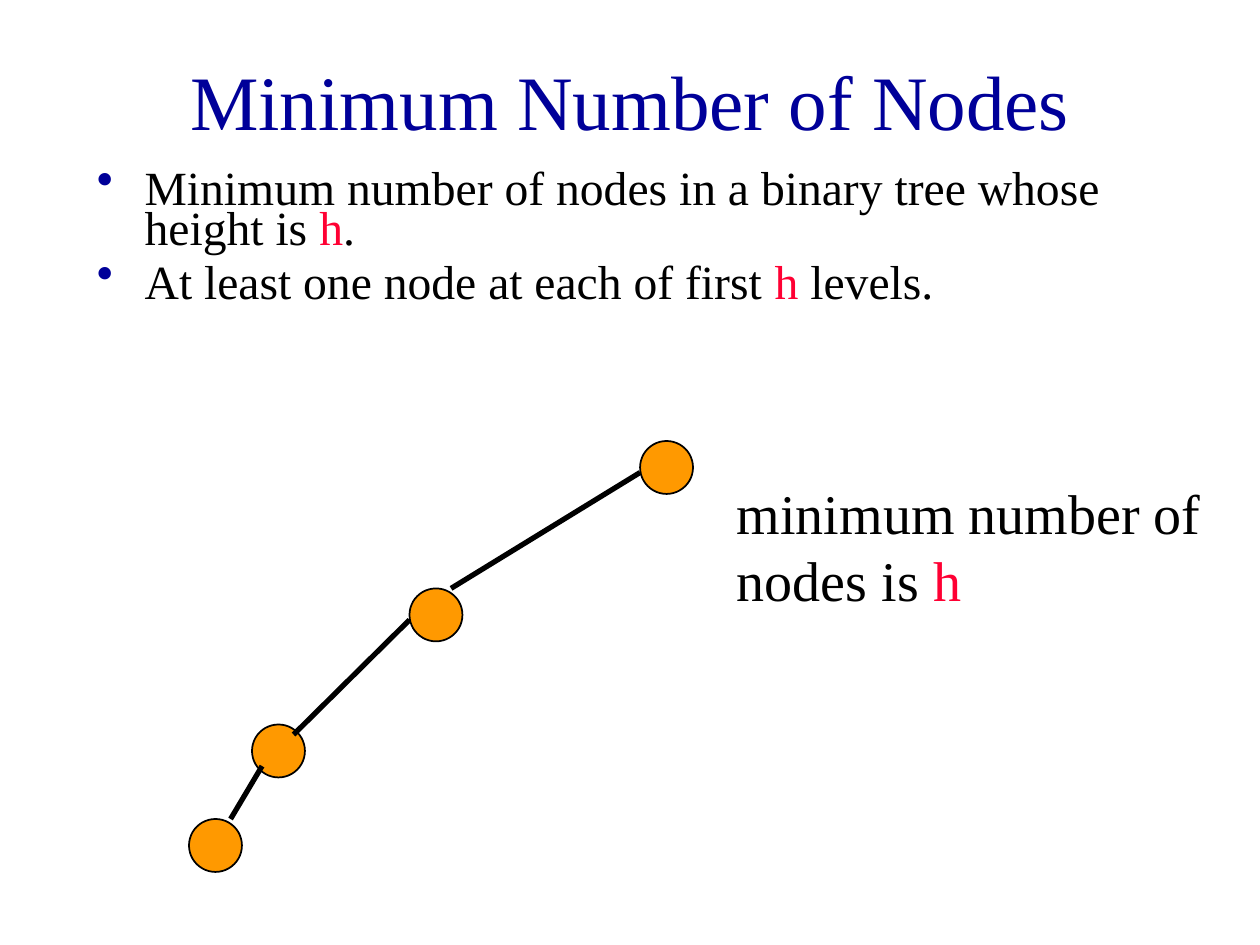
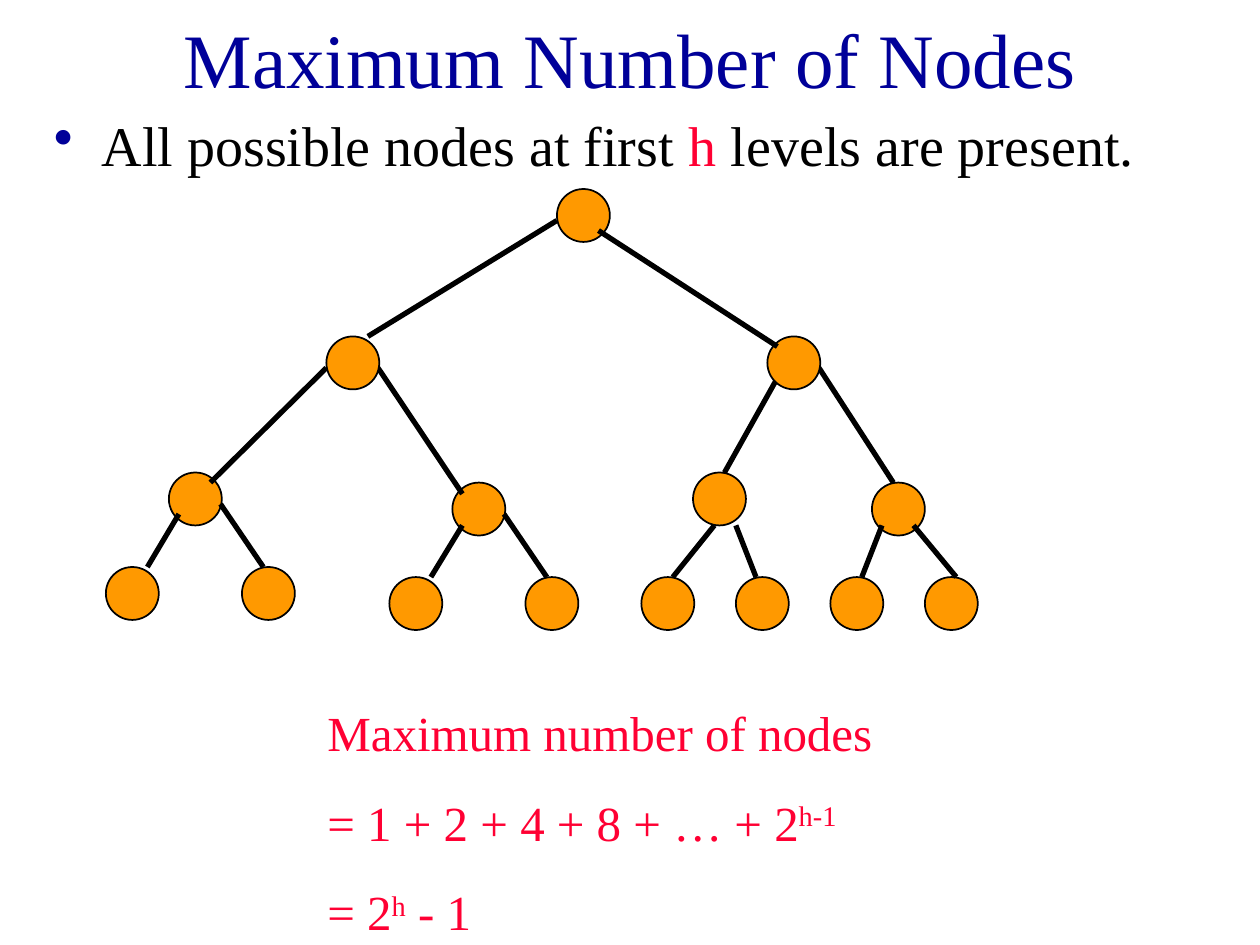
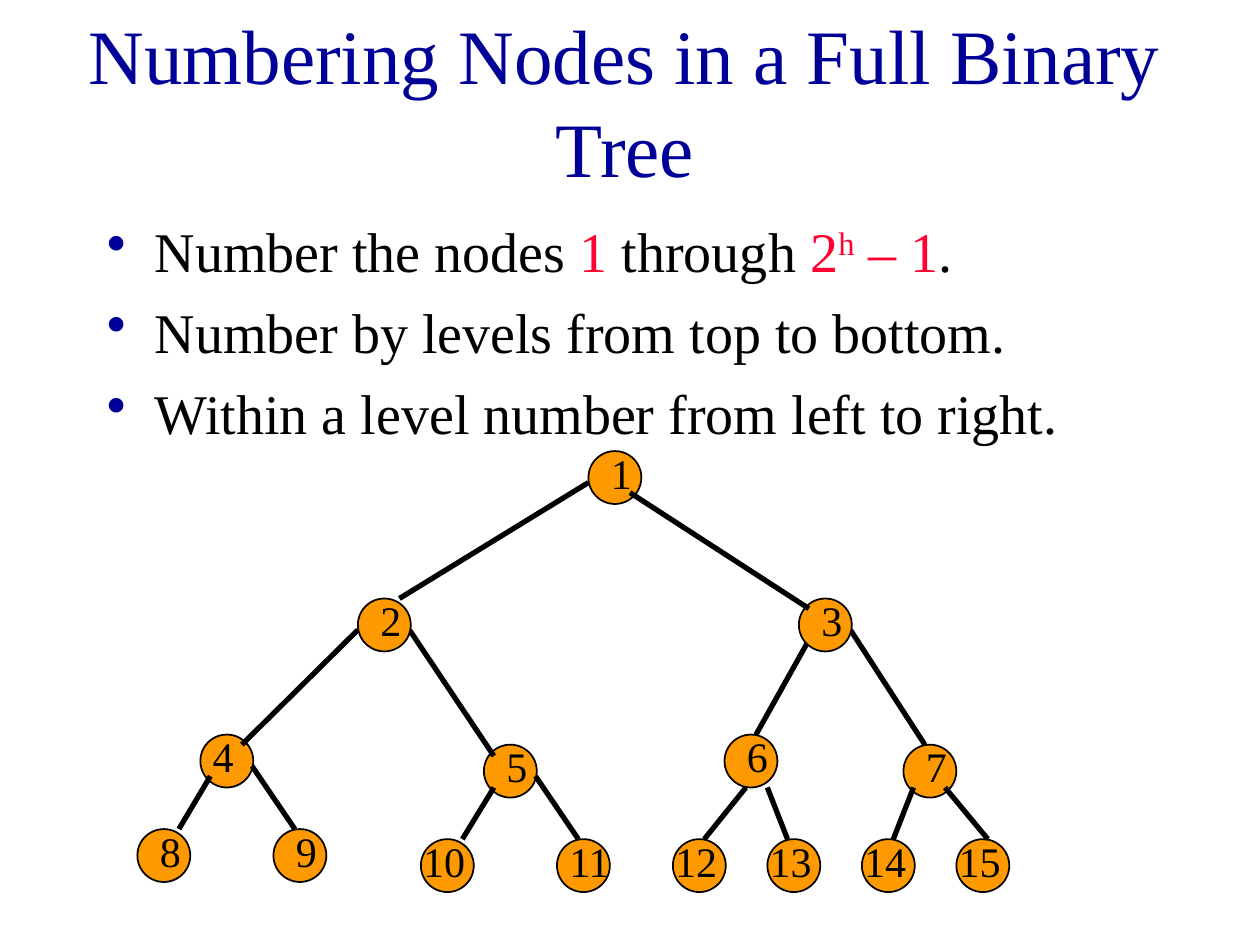
from lxml.etree import SubElement
from pptx import Presentation
from pptx.dml.color import RGBColor
from pptx.enum.shapes import MSO_CONNECTOR as Connector, MSO_SHAPE as Shape
from pptx.enum.text import MSO_ANCHOR as Anchor, MSO_AUTO_SIZE as AutoSize, PP_ALIGN as Align
from pptx.oxml.ns import qn
from pptx.util import Inches, Pt

COLORS = {"navy": "000099", "black": "000000", "red": "FF0033", "orange": "FF9900"}
FONT = "Times New Roman"
TITLE_ONLY = 5
NODE_SIZE = 0.42
RED = {"color": "red"}
RAISED = {"color": "red", "raised": True}

# Offsets in inches from the root's corner, by node number.
NODES = {
    1: (0, 0), 2: (-1.83, 1.17), 3: (1.67, 1.17),
    4: (-3.08, 2.25), 5: (-0.83, 2.33), 6: (1.08, 2.25), 7: (2.5, 2.33),
    8: (-3.58, 3), 9: (-2.5, 3), 10: (-1.33, 3.08), 11: (-0.25, 3.08),
    12: (0.67, 3.08), 13: (1.42, 3.08), 14: (2.17, 3.08), 15: (2.92, 3.08),
}
# Each edge is keyed by the child that it leads to.
EDGES = {
    2: ((0, 0.25), (-1.5, 1.17)), 3: ((0.33, 0.33), (1.75, 1.25)),
    4: ((-1.83, 1.42), (-2.75, 2.33)), 5: ((-1.42, 1.42), (-0.75, 2.42)),
    6: ((1.75, 1.5), (1.33, 2.25)), 7: ((2.08, 1.42), (2.67, 2.33)),
    8: ((-3, 2.58), (-3.25, 3)), 9: ((-2.67, 2.5), (-2.33, 3)),
    10: ((-0.75, 2.67), (-1, 3.08)), 11: ((-0.42, 2.58), (-0.08, 3.08)),
    12: ((1.25, 2.67), (0.92, 3.08)), 13: ((1.42, 2.67), (1.58, 3.08)),
    14: ((2.58, 2.67), (2.42, 3.08)), 15: ((2.83, 2.67), (3.17, 3.08)),
}
DRAWING_ORDER = (range(4, 8), range(1, 4), range(8, 16))
LEFT_CHAIN = (1, 2, 4, 8)


def rgb(name):
    """Return a named colour."""
    return RGBColor.from_string(COLORS[name])


def add_span(para, text, size=32, color="black", raised=False):
    """Add a formatted run of text to a paragraph."""
    span = para.add_run()
    span.text = text
    span.font.name = FONT
    span.font.size = Pt(size)
    span.font.color.rgb = rgb(color)
    if raised:
        span.font._element.set("baseline", "30000")


def add_bullet(para):
    """Give a paragraph a hanging navy bullet."""
    props = para._p.get_or_add_pPr()
    props.set("marL", str(Inches(0.38)))
    props.set("indent", str(-Inches(0.38)))
    bullet_color = SubElement(props, qn("a:buClr"))
    SubElement(bullet_color, qn("a:srgbClr"), val=COLORS["navy"])
    SubElement(props, qn("a:buChar"), char="•")


def add_text(page, place, paragraphs, size=32, color="black", bullets=False,
             space_before=0, line_spacing=None):
    """Add a text box whose paragraphs are lists of strings or (string, format) pairs."""
    box = page.shapes.add_textbox(*map(Inches, place))
    frame = box.text_frame
    frame.word_wrap = True
    for index, spans in enumerate(paragraphs):
        para = frame.add_paragraph() if index else frame.paragraphs[0]
        if bullets:
            add_bullet(para)
        para.space_before = Pt(space_before if index else 0)
        if line_spacing:
            para.line_spacing = line_spacing
        for span in spans:
            text, style = (span, {}) if isinstance(span, str) else span
            add_span(para, text, **{"size": size, "color": color, **style})


def add_page(deck, title, place):
    """Add a slide with a centred navy title."""
    page = deck.slides.add_slide(deck.slide_layouts[TITLE_ONLY])
    box = page.shapes.title
    box.left, box.top, box.width, box.height = map(Inches, place)
    frame = box.text_frame
    frame.word_wrap = True
    frame.auto_size = AutoSize.NONE
    frame.vertical_anchor = Anchor.MIDDLE
    para = frame.paragraphs[0]
    para.alignment = Align.CENTER
    add_span(para, title, size=44, color="navy")
    return page


def add_node(page, left, top):
    """Add an orange circle with a thin black outline."""
    node = page.shapes.add_shape(Shape.OVAL, *map(Inches, (left, top, NODE_SIZE, NODE_SIZE)))
    node.shadow.inherit = False
    node.fill.solid()
    node.fill.fore_color.rgb = rgb("orange")
    node.line.color.rgb = rgb("black")
    node.line.width = Pt(1)


def add_edge(page, start, end):
    """Add a thick black line between two points."""
    edge = page.shapes.add_connector(Connector.STRAIGHT, *map(Inches, (*start, *end)))
    edge.line.color.rgb = rgb("black")
    edge.line.width = Pt(3)
    SubElement(edge._element.spPr, qn("a:effectLst"))


def add_label(page, number, left, top):
    """Add the number of the node at the given corner."""
    shift = 0 if number in (4, 11) else 0.08 if number < 10 else -0.08
    width = 0.33 if number < 10 else 0.67
    add_text(page, (left + shift, top - 0.08, width, 0.5), [[str(number)]], size=24)


def add_tree(page, root, numbers=tuple(NODES), labelled=False):
    """Draw the chosen nodes of the tree, with their edges, from the root's corner."""
    def place(offset):
        """Return the slide position of an offset from the root."""
        return root[0] + offset[0], root[1] + offset[1]

    for group in DRAWING_ORDER:
        shown = [number for number in group if number in numbers]
        for number in shown:
            add_node(page, *place(NODES[number]))
        for number in shown:
            if number in EDGES:
                add_edge(page, *map(place, EDGES[number]))
    if labelled:
        for number in numbers:
            add_label(page, number, *place(NODES[number]))


def add_minimum_page(deck):
    """Show the tree with the fewest nodes."""
    page = add_page(deck, "Minimum Number of Nodes", (0.75, 0.17, 8.5, 1.25))
    add_text(page, (0.67, 1.33, 8.5, 1.17), [
        ["Minimum number of nodes in a binary tree whose height is ", ("h", RED), "."],
        ["At least one node at each of first ", ("h", RED), " levels."],
    ], size=27.2, bullets=True, space_before=8, line_spacing=0.7)
    add_tree(page, (5.08, 3.5), LEFT_CHAIN)
    add_text(page, (5.75, 3.75, 3.92, 1.17), [["minimum number of nodes is", (" h", RED)]])


def add_maximum_page(deck):
    """Show the tree with the most nodes."""
    page = add_page(deck, "Maximum Number of Nodes", (0.75, 0, 8.5, 0.92))
    add_text(page, (0.33, 0.83, 9.33, 1.17), [
        ["All possible nodes at first ", ("h", RED), " levels are present."],
    ], bullets=True)
    add_tree(page, (4.42, 1.5))
    add_text(page, (2.5, 5.53, 4.83, 1.99), [
        ["Maximum number of nodes"],
        ["= 1 + 2 + 4 + 8 + … + 2", ("h-1", RAISED)],
        ["= 2", ("h", RAISED), " - 1"],
    ], size=28, color="red", space_before=17.5)


def add_numbering_page(deck):
    """Show the numbered full tree."""
    page = add_page(deck, "Numbering Nodes in a Full Binary Tree", (0.25, 0.17, 9.42, 1.25))
    add_text(page, (0.75, 1.67, 8.5, 2), [
        ["Number the nodes ", ("1", RED), " through ", ("2", RED), ("h", RAISED),
         (" – 1", RED), "."],
        ["Number by levels from top to bottom."],
        ["Within a level number from left to right."],
    ], bullets=True, space_before=8)
    add_tree(page, (4.67, 3.58), labelled=True)


def main():
    """Build and save the deck."""
    deck = Presentation()
    deck.slide_width, deck.slide_height = Inches(10), Inches(7.5)
    add_minimum_page(deck)
    add_maximum_page(deck)
    add_numbering_page(deck)
    deck.save("out.pptx")


if __name__ == "__main__":
    main()
